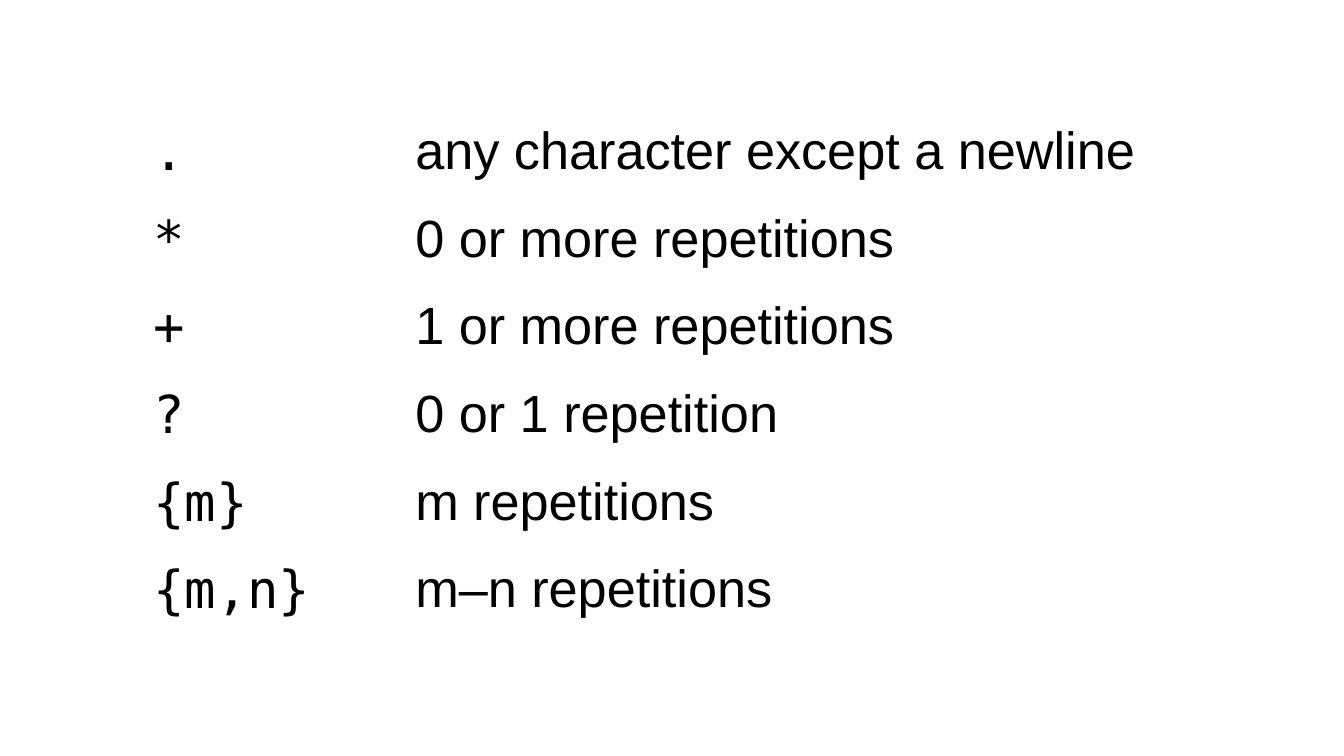
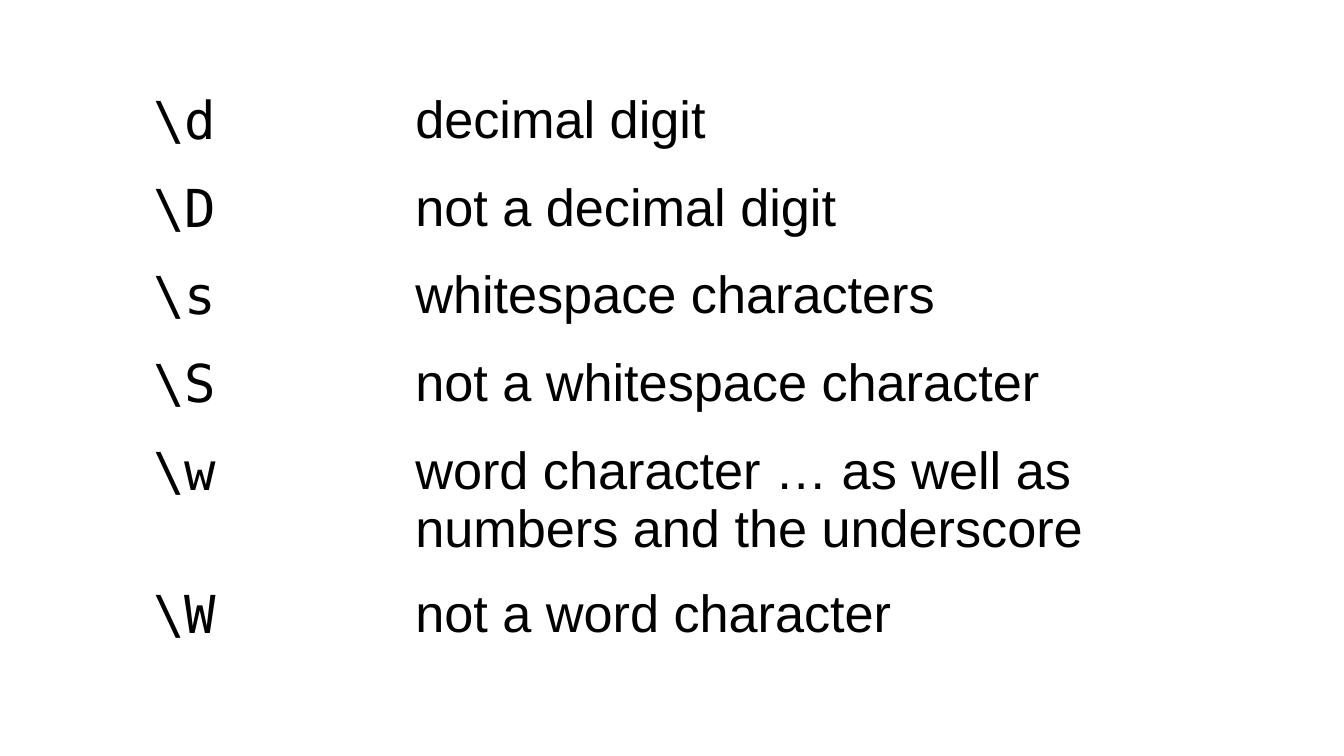
from dataclasses import dataclass

from pptx import Presentation
from pptx import util as u
from pptx.dml.color import RGBColor


@dataclass(frozen=True)
class Theme:
    ink: RGBColor = RGBColor(0, 0, 0)
    paper: RGBColor = RGBColor(255, 255, 255)
    symbol_font: str = "DejaVu Sans Mono"
    meaning_font: str = "Arial"
    size: u.Pt = u.Pt(28)
    inset: u.Inches = u.Inches(0.1)


THEME = Theme()
SLIDE_WIDTH = 10
SLIDE_HEIGHT = SLIDE_WIDTH * 9 / 16
COLUMN_WIDTHS = (1.95, 5.97)
ROW_HEIGHT = 0.42
TABLE_LEFT = 1.04
FRAME_SIDE = 3.28

QUANTIFIERS = (
    (".", "any character except a newline"),
    ("*", "0 or more repetitions"),
    ("+", "1 or more repetitions"),
    ("?", "0 or 1 repetition"),
    ("{m}", "m repetitions"),
    ("{m,n}", "m–n repetitions"),
)
CHARACTER_CLASSES = (
    (r"\d", "decimal digit"),
    (r"\D", "not a decimal digit"),
    (r"\s", "whitespace characters"),
    (r"\S", "not a whitespace character"),
    (r"\w", "word character … as well as numbers and the underscore"),
    (r"\W", "not a word character"),
)


def fill_cell(cell, content, font_name):
    cell.fill.background()
    cell.margin_left = cell.margin_right = THEME.inset
    cell.margin_top = cell.margin_bottom = THEME.inset
    cell.text = content
    font = cell.text_frame.paragraphs[0].font
    font.name = font_name
    font.size = THEME.size
    font.color.rgb = THEME.ink


def add_syntax_table(slide, entries, left, top, side):
    frame = slide.shapes.add_table(
        len(entries), len(COLUMN_WIDTHS),
        u.Inches(left), u.Inches(top), u.Inches(side), u.Inches(side),
    )
    table = frame.table
    table.first_row = table.horz_banding = False
    for column, width in zip(table.columns, COLUMN_WIDTHS):
        column.width = u.Inches(width)
    for row, (symbol, meaning) in zip(table.rows, entries):
        row.height = u.Inches(ROW_HEIGHT)
        fill_cell(row.cells[0], symbol, THEME.symbol_font)
        fill_cell(row.cells[1], meaning, THEME.meaning_font)
    frame.width = frame.height = u.Inches(side)


def add_syntax_slide(presentation, entries, top):
    slide = presentation.slides.add_slide(presentation.slide_layouts[6])
    slide.background.fill.solid()
    slide.background.fill.fore_color.rgb = THEME.paper
    add_syntax_table(slide, entries, TABLE_LEFT, top, FRAME_SIDE)


def main():
    presentation = Presentation()
    presentation.slide_width = u.Inches(SLIDE_WIDTH)
    presentation.slide_height = u.Inches(SLIDE_HEIGHT)
    add_syntax_slide(presentation, QUANTIFIERS, 0.81)
    add_syntax_slide(presentation, CHARACTER_CLASSES, 0.58)
    presentation.save("out.pptx")


if __name__ == "__main__":
    main()
